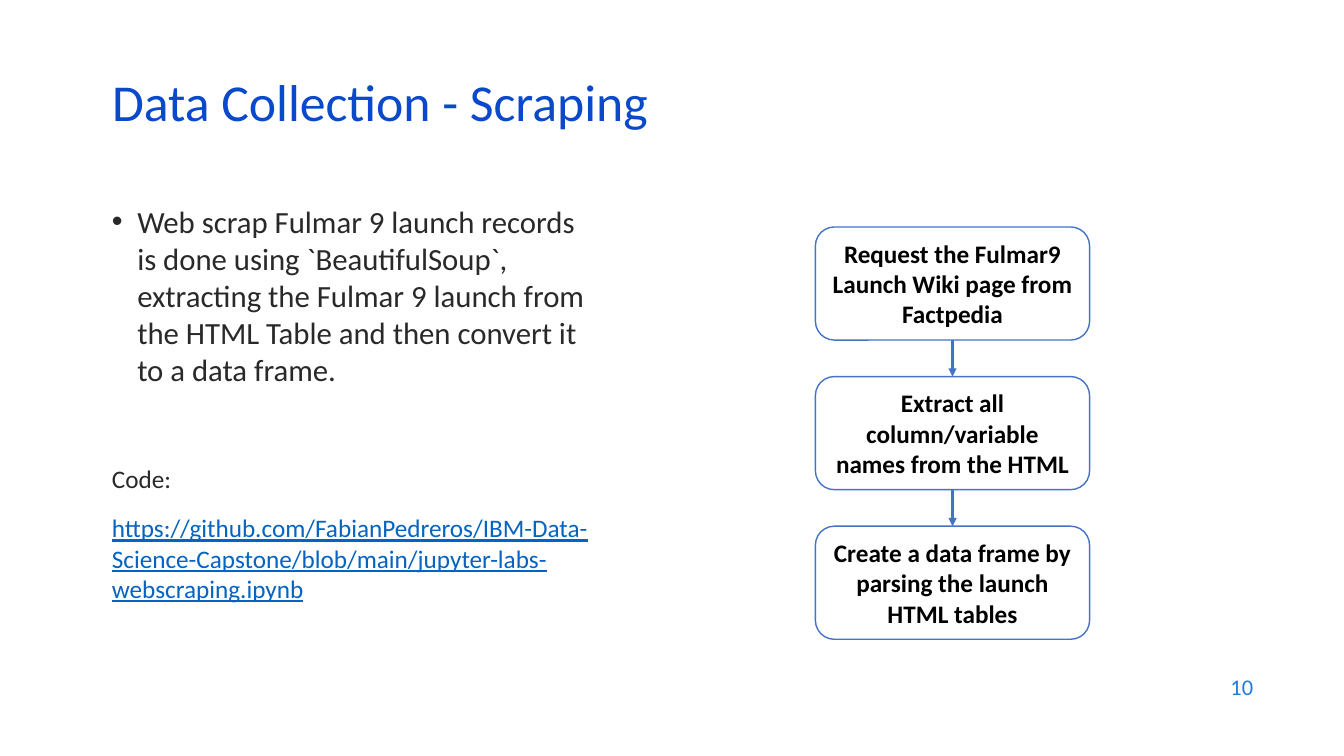
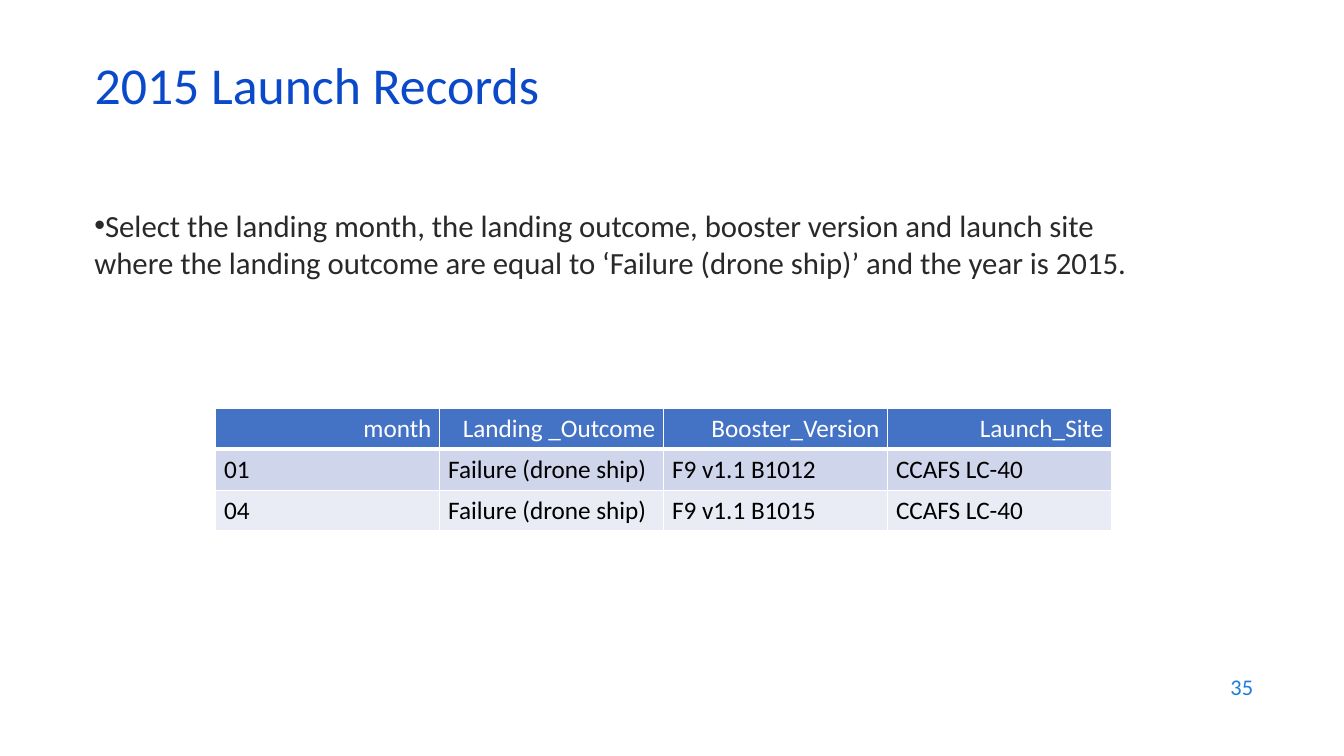
from itertools import pairwise

from lxml.etree import SubElement
from pptx import Presentation
from pptx.dml.color import RGBColor
from pptx.enum.shapes import MSO_CONNECTOR, MSO_SHAPE
from pptx.enum.text import MSO_ANCHOR, PP_ALIGN
from pptx.oxml.ns import qn
from pptx.util import Cm, Pt

FONT = "Calibri"
BLUE, TITLE_BLUE, NUMBER_BLUE, LINK_BLUE = "4472C4", "0B49CB", "1C7DDB", "0563C1"
BODY_GREY, BLACK, WHITE = "292929", "000000", "FFFFFF"
ROW_FILLS = ("CFD5EA", "E9EBF5")

TITLE = {"size": Pt(37), "color": TITLE_BLUE}
BODY = {"size": Pt(22), "color": BODY_GREY}
LABEL = {"size": Pt(18), "color": BODY_GREY}
LINK = {"size": Pt(18), "color": LINK_BLUE, "underline": True}
STEP = {"size": Pt(18), "color": BLACK, "bold": True}
NUMBER = {"size": Pt(16), "color": NUMBER_BLUE}
HEADER = {"size": Pt(18), "color": WHITE}
CELL = {"size": Pt(18), "color": BLACK}


def rgb(hex_color):
    """Turn a hex string into a colour."""
    return RGBColor.from_string(hex_color)


def set_all(target, values):
    """Set every attribute named in a dict."""
    for name, value in values.items():
        setattr(target, name, value)


def place(shape, left, top, width, height):
    """Move and size a shape, with lengths in centimetres."""
    set_all(shape, {"left": Cm(left), "top": Cm(top),
                    "width": Cm(width), "height": Cm(height)})


def write(paragraph, text, style, **layout):
    """Put styled text into a paragraph."""
    run = paragraph.add_run()
    run.text = text
    run.font.name = FONT
    run.font.color.rgb = rgb(style["color"])
    set_all(run.font, {name: value for name, value in style.items() if name != "color"})
    set_all(paragraph, layout)


class Deck:
    """Hold the presentation, its style and the current slide."""

    def __init__(self):
        """Start a widescreen presentation."""
        self.presentation = Presentation()
        set_all(self.presentation, {"slide_width": Cm(33.87), "slide_height": Cm(19.05)})
        self.slide = None

    def start(self, title, number, left, top):
        """Add a slide with its title and number."""
        self.slide = self.presentation.slides.add_slide(self.presentation.slide_layouts[5])
        heading = self.slide.shapes.title
        place(heading, left, top, 29.21, 1.52)
        set_all(heading.text_frame, {"word_wrap": True, "vertical_anchor": MSO_ANCHOR.MIDDLE})
        write(heading.text_frame.paragraphs[0], title, TITLE,
              alignment=PP_ALIGN.LEFT, line_spacing=0.8)
        page = self.text_frame(24.21, 16.74, 7.62, 1.12)
        page.vertical_anchor = MSO_ANCHOR.MIDDLE
        write(page.paragraphs[0], number, NUMBER, alignment=PP_ALIGN.RIGHT)

    def text_frame(self, left, top, width, height):
        """Add a wrapping text box and return its frame."""
        box = self.slide.shapes.add_textbox(Cm(left), Cm(top), Cm(width), Cm(height))
        box.text_frame.word_wrap = True
        return box.text_frame

    def bullet_text(self, text, place_at, indent=0.0):
        """Add a text box that opens with a bullet and return its frame."""
        frame = self.text_frame(*place_at)
        paragraph = frame.paragraphs[0]
        properties = paragraph._p.get_or_add_pPr()
        properties.set("marL", str(Cm(indent)))
        properties.set("indent", str(-Cm(indent)))
        SubElement(properties, qn("a:buFont"), typeface="Arial")
        SubElement(properties, qn("a:buChar"), char="•")
        write(paragraph, text, BODY)
        return frame

    def step(self, text, left, top, width, height):
        """Add one rounded box of a flow."""
        box = self.slide.shapes.add_shape(
            MSO_SHAPE.ROUNDED_RECTANGLE, Cm(left), Cm(top), Cm(width), Cm(height))
        box.shadow.inherit = False
        box.fill.solid()
        box.fill.fore_color.rgb = rgb(WHITE)
        box.line.color.rgb = rgb(BLUE)
        box.line.width = Pt(1)
        set_all(box.text_frame, {"word_wrap": True, "vertical_anchor": MSO_ANCHOR.MIDDLE})
        write(box.text_frame.paragraphs[0], text, STEP, alignment=PP_ALIGN.CENTER)
        return box

    def arrow(self, upper, lower):
        """Join two boxes with a downward arrow."""
        link = self.slide.shapes.add_connector(MSO_CONNECTOR.STRAIGHT, 0, 0, 0, 0)
        link.begin_connect(upper, 2)
        link.end_connect(lower, 0)
        link.line.color.rgb = rgb(BLUE)
        link.line.width = Pt(1.5)
        SubElement(link.line._get_or_add_ln(), qn("a:tailEnd"), type="triangle")
        SubElement(link._element.spPr, qn("a:effectLst"))

    def flow(self, texts, left, top, width, height, pitch):
        """Stack boxes at an equal pitch and join them."""
        steps = [self.step(text, left, top + index * pitch, width, height)
                 for index, text in enumerate(texts)]
        for upper, lower in pairwise(steps):
            self.arrow(upper, lower)

    def cell(self, cell, text, row):
        """Format one table cell by its row."""
        set_all(cell, {"margin_left": Cm(0.21), "margin_right": Cm(0.21),
                       "margin_top": Cm(0.1), "margin_bottom": Cm(0.1),
                       "vertical_anchor": MSO_ANCHOR.MIDDLE})
        widths = {"lnL": 1, "lnR": 1, "lnT": 3 if row == 1 else 1, "lnB": 1 if row else 3}
        properties = cell._tc.get_or_add_tcPr()
        for side, points in widths.items():
            border = SubElement(properties, qn(f"a:{side}"), w=str(Pt(points)))
            SubElement(SubElement(border, qn("a:solidFill")), qn("a:srgbClr"), val=WHITE)
        cell.fill.solid()
        cell.fill.fore_color.rgb = rgb(ROW_FILLS[(row - 1) % 2] if row else BLUE)
        write(cell.text_frame.paragraphs[0], text, CELL if row else HEADER,
              alignment=PP_ALIGN.LEFT if row else PP_ALIGN.RIGHT)

    def table(self, records, left, top, width, height):
        """Add a table with equal columns and rows."""
        grid = self.slide.shapes.add_table(
            len(records), len(records[0]), Cm(left), Cm(top), Cm(width), Cm(height)).table
        for row, record in enumerate(records):
            for column, text in enumerate(record):
                self.cell(grid.cell(row, column), text, row)


def main():
    """Build both slides and save them."""
    deck = Deck()

    deck.start("Data Collection - Scraping", "10", 2.57, 1.93)
    summary = deck.bullet_text(
        "Web scrap Fulmar 9 launch records is done using `BeautifulSoup`, extracting the "
        "Fulmar 9 launch from the HTML Table and then convert it to a data frame.",
        (2.57, 4.98, 12.62, 13.34), indent=0.64)
    write(summary.add_paragraph(), "Code:", LABEL, space_before=Pt(54))
    write(summary.add_paragraph(),
          "https://github.com/FabianPedreros/IBM-Data-Science-Capstone/blob/main/"
          "jupyter-labs-webscraping.ipynb", LINK, space_before=Pt(14))
    deck.flow(("Request the Fulmar9 Launch Wiki page from Factpedia",
               "Extract all column/variable names from the HTML",
               "Create a data frame by parsing the launch HTML tables"),
              20.55, 5.72, 6.91, 2.85, pitch=3.77)

    deck.start("2015 Launch Records", "35", 2.13, 1.5)
    deck.bullet_text(
        "Select the landing month, the landing outcome, booster version and launch site where "
        "the landing outcome are equal to ‘Failure (drone ship)’ and the year is 2015.",
        (2.13, 5.08, 27.08, 3.81))
    deck.table((("month", "Landing _Outcome", "Booster_Version", "Launch_Site"),
                ("01", "Failure (drone ship)", "F9 v1.1 B1012", "CCAFS LC-40"),
                ("04", "Failure (drone ship)", "F9 v1.1 B1015", "CCAFS LC-40")),
               5.44, 10.29, 22.58, 3.09)

    deck.presentation.save("out.pptx")


if __name__ == "__main__":
    main()
